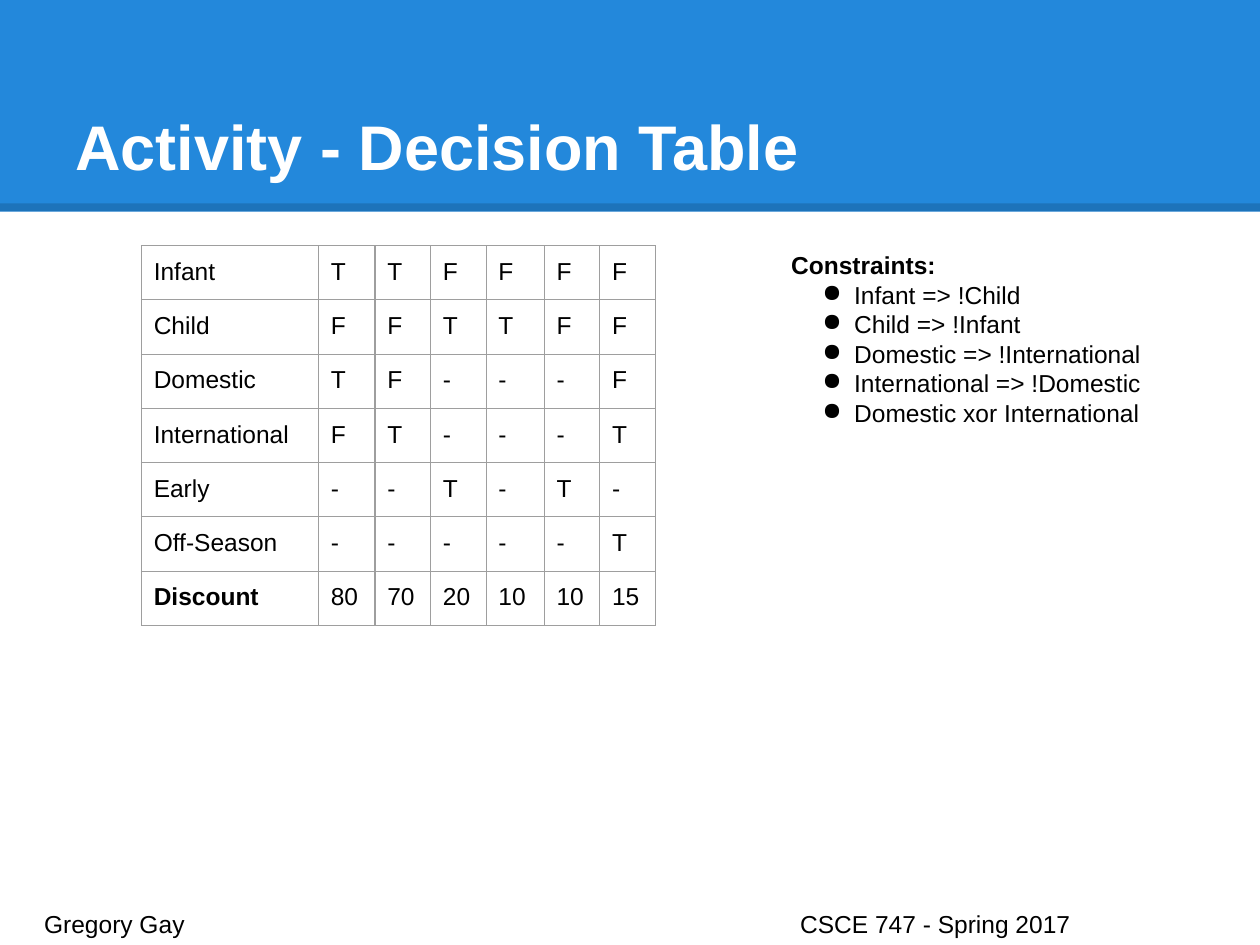
from dataclasses import dataclass

from lxml import etree
from pptx import Presentation
from pptx import util as u
from pptx.dml.color import RGBColor
from pptx.enum import shapes, text
from pptx.oxml import ns

FONT = "Arial"
BLACK, WHITE, BLUE, GREY = "000000", "FFFFFF", "2388DB", "9E9E9E"
INSET = u.Cm(0.25)
COL_WIDTHS = [3.57, 1.14, 1.12, 1.12, 1.17, 1.12, 1.12]
ROW_HEIGHTS = [1.09] * 3 + [1.07] * 4


@dataclass
class Box:
    left: float
    top: float
    width: float
    height: float

    def emu(self) -> list:
        return [u.Cm(v) for v in (self.left, self.top, self.width, self.height)]


@dataclass
class Rule:
    label: str
    values: str
    bold: bool = False


RULES = [
    Rule("Infant", "T T F F F F"),
    Rule("Child", "F F T T F F"),
    Rule("Domestic", "T F - - - F"),
    Rule("International", "F T - - - T"),
    Rule("Early", "- - T - T -"),
    Rule("Off-Season", "- - - - - T"),
    Rule("Discount", "80 70 20 10 10 15", True),
]
CONSTRAINTS = [
    "Infant => !Child",
    "Child => !Infant",
    "Domestic => !International",
    "International => !Domestic",
    "Domestic xor International",
]


def rgb(value: str) -> RGBColor:
    return RGBColor.from_string(value)


def sub(parent, tag: str, **attrs):
    return etree.SubElement(parent, ns.qn(tag), {k: str(v) for k, v in attrs.items()})


def style(p, size: float = 14, color: str = BLACK, bold: bool = False) -> None:
    for r in p.runs:
        r.font.name = FONT
        r.font.size = u.Pt(size)
        r.font.bold = bold
        r.font.color.rgb = rgb(color)


def set_insets(target) -> None:
    target.margin_left = target.margin_right = INSET
    target.margin_top = target.margin_bottom = INSET


def add_text(s, box: Box, value: str, anchor=text.MSO_ANCHOR.TOP, **font):
    tf = s.shapes.add_textbox(*box.emu()).text_frame
    tf.word_wrap = True
    tf.vertical_anchor = anchor
    set_insets(tf)
    tf.text = value
    style(tf.paragraphs[0], **font)
    return tf


def add_header(s) -> None:
    sp = s.shapes.add_shape(shapes.MSO_SHAPE.RECTANGLE, *Box(0, 0, 25.4, 4.27).emu())
    sp.shadow.inherit = False
    sp.fill.solid()
    sp.fill.fore_color.rgb = rgb(BLUE)
    sp.line.fill.background()
    y = u.Cm(4.18)
    line = s.shapes.add_connector(shapes.MSO_CONNECTOR.STRAIGHT, 0, y, u.Cm(25.4), y)
    line.line.width = u.Pt(4.5)
    line.line.color.rgb = rgb(BLACK)
    spPr = line._element.spPr
    sub(spPr.find(".//" + ns.qn("a:srgbClr")), "a:alpha", val=15000)
    sub(spPr, "a:effectLst")
    add_text(s, Box(1.27, 0.76, 22.86, 3.18), "Activity - Decision Table",
             text.MSO_ANCHOR.BOTTOM, size=36, color=WHITE, bold=True)


def add_footer(s) -> None:
    tf = add_text(s, Box(0.64, 18.08, 24.16, 0.76), "Gregory Gay\tCSCE 747 - Spring 2017")
    tabs = sub(tf.paragraphs[0]._p.get_or_add_pPr(), "a:tabLst")
    sub(tabs, "a:tab", pos=u.Cm(15.24), algn="l")


def fill_cell(cell, value: str, bold: bool) -> None:
    set_insets(cell)
    cell.text = value
    style(cell.text_frame.paragraphs[0], bold=bold)
    tcPr = cell._tc.get_or_add_tcPr()
    for side in "LRTB":
        ln = sub(tcPr, f"a:ln{side}", w=u.Pt(0.75))
        sub(sub(ln, "a:solidFill"), "a:srgbClr", val=GREY)
    cell.fill.background()


def add_decision_table(s) -> None:
    box = Box(2.85, 4.95, sum(COL_WIDTHS), sum(ROW_HEIGHTS))
    table = s.shapes.add_table(len(RULES), len(COL_WIDTHS), *box.emu()).table
    table.first_row = table.horz_banding = False
    for col, width in zip(table.columns, COL_WIDTHS):
        col.width = u.Cm(width)
    for i, (rule, height) in enumerate(zip(RULES, ROW_HEIGHTS)):
        table.rows[i].height = u.Cm(height)
        for j, value in enumerate([rule.label, *rule.values.split()]):
            fill_cell(table.cell(i, j), value, rule.bold and j == 0)


def add_constraints(s) -> None:
    tf = add_text(s, Box(15.7, 4.8, 7.82, 3.33), "Constraints:", bold=True)
    for item in CONSTRAINTS:
        p = tf.add_paragraph()
        p.text = item
        pPr = p._p.get_or_add_pPr()
        pPr.set("marL", str(u.Cm(1.27)))
        pPr.set("indent", str(-u.Cm(0.64)))
        sub(pPr, "a:buChar", char="●")
        style(p)


def main() -> None:
    prs = Presentation()
    prs.slide_width, prs.slide_height = u.Cm(25.4), u.Cm(19.05)
    s = prs.slides.add_slide(prs.slide_layouts[6])
    add_header(s)
    add_footer(s)
    add_decision_table(s)
    add_constraints(s)
    prs.save("out.pptx")


if __name__ == "__main__":
    main()
